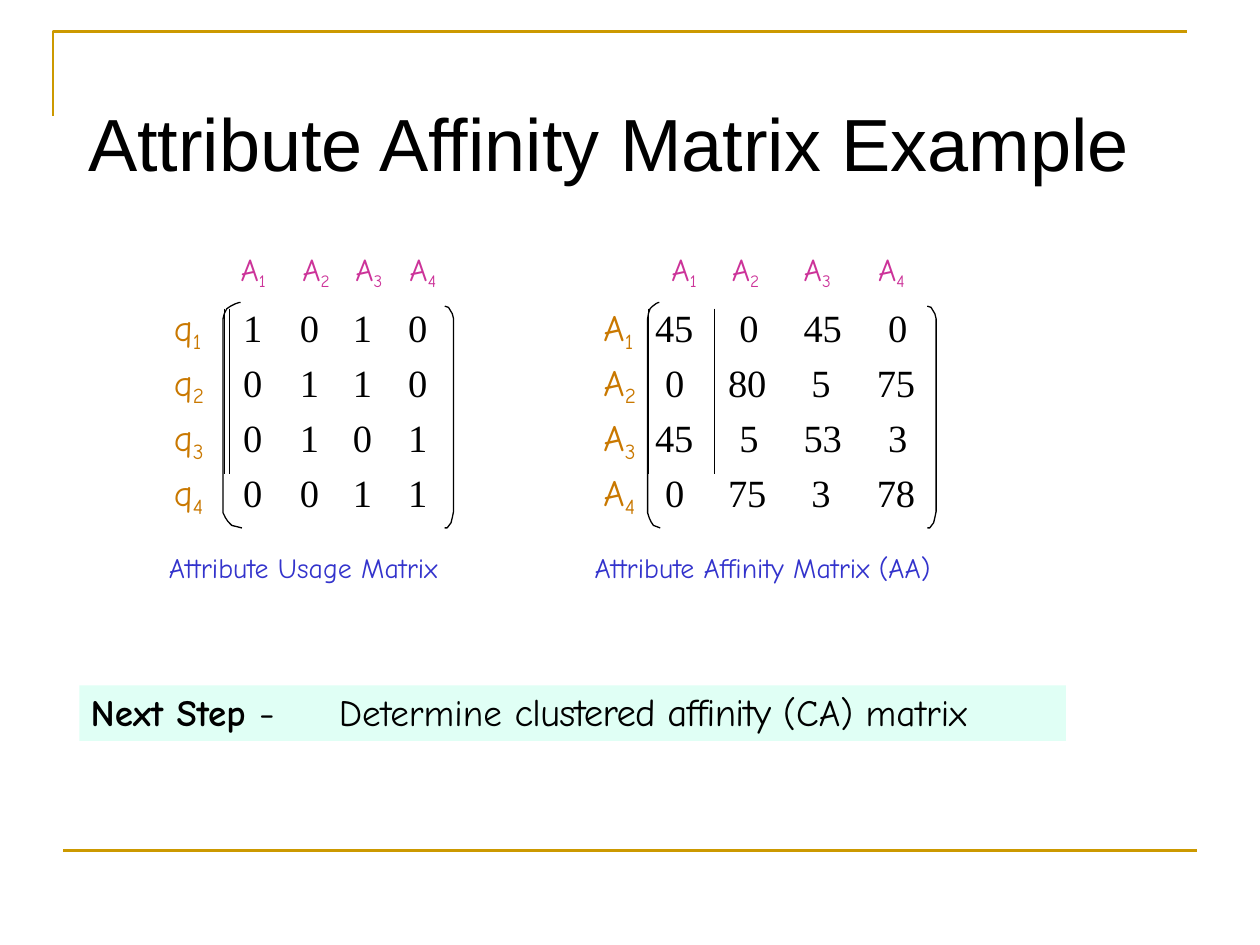
from lxml import etree
from pptx import Presentation
from pptx import util as u
from pptx.dml.color import RGBColor
from pptx.enum import shapes, text
from pptx.oxml.ns import qn

PX = 9144
GOLD = RGBColor(0xCC, 0x99, 0x00)
BLUE = RGBColor(0x33, 0x33, 0xCC)
PINK = RGBColor(0xCC, 0x33, 0x99)
ORANGE = RGBColor(0xC9, 0x78, 0x00)
BLACK = RGBColor(0, 0, 0)
MINT = RGBColor(0xE0, 0xFF, 0xF5)
HAND = "Comic Neue"
SERIF = "Times New Roman"
SANS = "Arial"
NO_STYLE = "{2D5ABB26-0587-4C30-8999-92F81FD0307C}"

COLUMNS = [43, 4, 36, 55, 43, 96, 103, 52, 55, 59, 47]
ROWS = [44, 43, 44, 44, 44]
USAGE = [[1, 0, 1, 0], [0, 1, 1, 0], [0, 1, 0, 1], [0, 0, 1, 1]]
AFFINITY = [[45, 0, 45, 0], [0, 80, 5, 75], [45, 5, 53, 3], [0, 75, 3, 78]]
USAGE_INDENTS = [(11,), (20,), (7,), (8,)]
AFFINITY_INDENTS = [(13, 5), (20, 11), (22, 16), (24, 15)]
LEFT_BRACKET = [(15, 179), (11, 178), (7, 177), (4, 174), (2, 171), (0, 167), (0, 15),
                (0, 13), (1, 9), (3, 5), (6, 3), (10, 1), (13, 0), (14, 0)]
RIGHT_BRACKET = [(0, 0), (3, 1), (6, 6), (7, 10), (7, 161), (7, 163), (6, 168),
                 (5, 172), (2, 176), (1, 176), (0, 176)]


def px(value):
    return round(value * PX)


def add_run(paragraph, words, font, size, color, bold=False, spacing=0, baseline=0):
    run = paragraph.add_run()
    run.text = words
    run.font.name = font
    run.font.size = u.Pt(size)
    run.font.color.rgb = color
    run.font.bold = bold
    properties = run._r.get_or_add_rPr()
    if spacing:
        properties.set("spc", str(round(spacing * 100)))
    if baseline:
        properties.set("baseline", str(baseline * 1000))


def indent(paragraph, amount):
    properties = paragraph._p.get_or_add_pPr()
    properties.set("marL", str(px(amount)))
    properties.set("indent", "0")


def add_text(slide, x, y, w, h, runs, left=1, top=0, anchor=text.MSO_ANCHOR.TOP):
    shape = slide.shapes.add_textbox(px(x), px(y), px(w), px(h))
    frame = shape.text_frame
    frame.word_wrap = True
    frame.vertical_anchor = anchor
    frame.margin_left = frame.margin_right = frame.margin_bottom = 0
    frame.margin_top = px(top)
    indent(frame.paragraphs[0], left)
    for run in runs:
        add_run(frame.paragraphs[0], *run)


def add_outline(slide, x, y, points, color, width):
    places = [(px(x + dx), px(y + dy)) for dx, dy in points]
    builder = slide.shapes.build_freeform(*places[0])
    builder.add_line_segments(places[1:], close=False)
    shape = builder.convert_to_shape()
    shape.shadow.inherit = False
    shape.fill.background()
    shape.line.color.rgb = color
    shape.line.width = u.Pt(width)


def add_frame(slide, x, y, w, h):
    add_outline(slide, x, y, [(0, 67), (0, 0), (w, 0)], GOLD, 1.5)
    rule = slide.shapes.add_connector(shapes.MSO_CONNECTOR.STRAIGHT,
                                      px(x + 8), px(y + h), px(x + 8 + w), px(y + h))
    rule.line.color.rgb = GOLD
    rule.line.width = u.Pt(1.5)
    etree.SubElement(rule._element.spPr, qn("a:effectLst"))


def add_title(slide, x, y, w, h):
    add_text(slide, x, y, w, h, [("Attribute Affinity Matrix Example", SANS, 42.2, BLACK)],
             left=20, top=41, anchor=text.MSO_ANCHOR.MIDDLE)


def add_border(cell, side):
    line = etree.SubElement(cell._tc.get_or_add_tcPr(), qn("a:ln" + side), w="9525")
    fill = etree.SubElement(line, qn("a:solidFill"))
    etree.SubElement(fill, qn("a:srgbClr"), val=str(BLACK))


def fill_subscripted(cell, left, letter, number, sizes, color):
    paragraph = cell.text_frame.paragraphs[0]
    indent(paragraph, left)
    spacing = -0.1 if letter == "A" else 0
    add_run(paragraph, letter, HAND, sizes[0], color, spacing=spacing)
    add_run(paragraph, str(number), HAND, sizes[1], color, baseline=-21)


def fill_matrix(table, label_column, first, label, label_indent, header_indents,
                values, value_indents):
    for column, left in enumerate(header_indents):
        fill_subscripted(table.cell(0, first + column), left, "A", column + 1, (18, 17), PINK)
    for row, numbers in enumerate(values, 1):
        fill_subscripted(table.cell(row, label_column), label_indent, label, row,
                         (21, 21), ORANGE)
        for column, number in enumerate(numbers):
            digits = str(number)
            paragraph = table.cell(row, first + column).text_frame.paragraphs[0]
            indent(paragraph, value_indents[column][len(digits) - 1])
            add_run(paragraph, digits, SERIF, 22, BLACK,
                    spacing=-0.1 if len(digits) > 1 else 0)


def add_matrices(slide, x, y, w, h):
    table = slide.shapes.add_table(len(ROWS), len(COLUMNS), px(x), px(y), px(w), px(h)).table
    table.first_row = table.horz_banding = False
    table._tbl.tblPr.find(qn("a:tableStyleId")).text = NO_STYLE
    for column, width in zip(table.columns, COLUMNS):
        column.width = px(width)
    for row, height in zip(table.rows, ROWS):
        row.height = px(height)
    for row in range(1, 4):
        for label_column in (0, 6):
            add_border(table.cell(row, label_column), "R")
            add_border(table.cell(row, label_column + 1), "L")
            add_border(table.cell(row, label_column + 1), "R")
    for cell in table.iter_cells():
        cell.margin_left = cell.margin_right = cell.margin_top = cell.margin_bottom = 0
        cell.fill.background()
    table.cell(0, 0).merge(table.cell(0, 1))
    fill_matrix(table, 0, 2, "q", 3, [9, 22, 9, 9], USAGE, USAGE_INDENTS)
    fill_matrix(table, 6, 7, "A", 67, [18, 14, 16, 16], AFFINITY, AFFINITY_INDENTS)


def add_brackets(slide, x, y, w, curve):
    left = [(dx * curve / 15, dy) for dx, dy in LEFT_BRACKET]
    add_outline(slide, x, y, left, BLACK, 0.75)
    add_outline(slide, x + w - 7, y + 3, RIGHT_BRACKET, BLACK, 0.75)


def add_caption(slide, x, y, w, h, words):
    add_text(slide, x, y, w, h, [(words, HAND, 15.9, BLUE)])


def add_next_step(slide, x, y, w, h):
    band = slide.shapes.add_shape(shapes.MSO_SHAPE.RECTANGLE, px(x), px(y), px(w), px(h))
    band.shadow.inherit = False
    band.fill.solid()
    band.fill.fore_color.rgb = MINT
    band.line.fill.background()
    add_text(slide, x + 8, y + 2, 174, 38, [
        ("Next Step ", HAND, 21.2, BLACK, True),
        ("-", HAND, 22.1, BLACK, False, -0.5)])
    add_text(slide, x + 205, y + 2, 570, 38, [
        ("Determine ", HAND, 21.2, BLACK),
        ("clustered affinity ", HAND, 22.1, BLACK, False, -0.4),
        ("(CA) matrix", HAND, 21.2, BLACK)])


def main():
    presentation = Presentation()
    presentation.slide_width = px(1000)
    presentation.slide_height = px(750)
    slide = presentation.slides.add_slide(presentation.slide_layouts[6])
    add_frame(slide, 42, 25, 900, 650)
    add_title(slide, 50, 30, 900, 125)
    add_matrices(slide, 135, 201, sum(COLUMNS), sum(ROWS))
    add_brackets(slide, 177, 240, 183, 15)
    add_brackets(slide, 514, 240, 229, 10)
    add_caption(slide, 133, 437, 249, 28, "Attribute Usage Matrix")
    add_caption(slide, 471, 437, 327, 28, "Attribute Affinity Matrix (AA)")
    add_next_step(slide, 63, 544, 783, 44)
    presentation.save("out.pptx")


if __name__ == "__main__":
    main()
